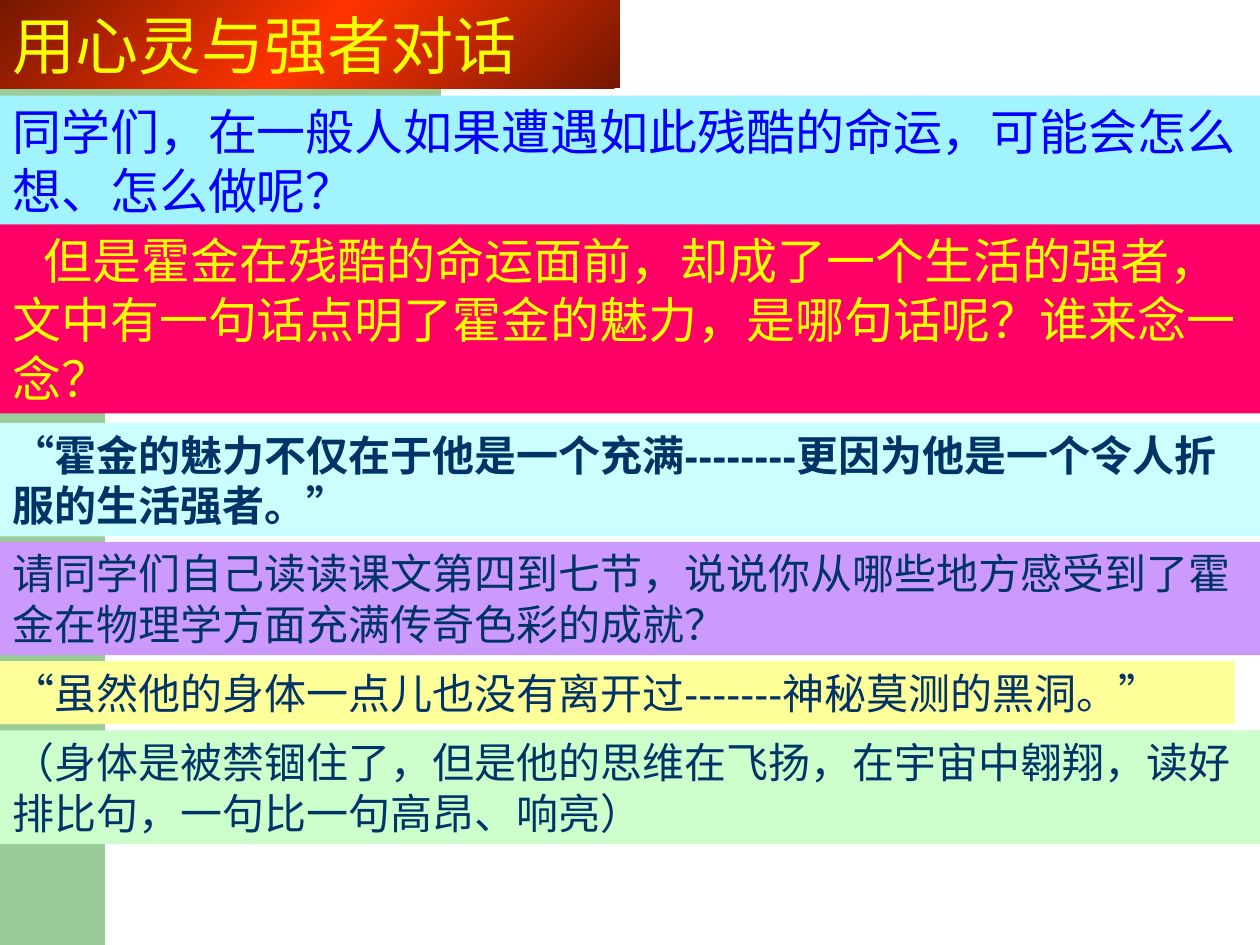
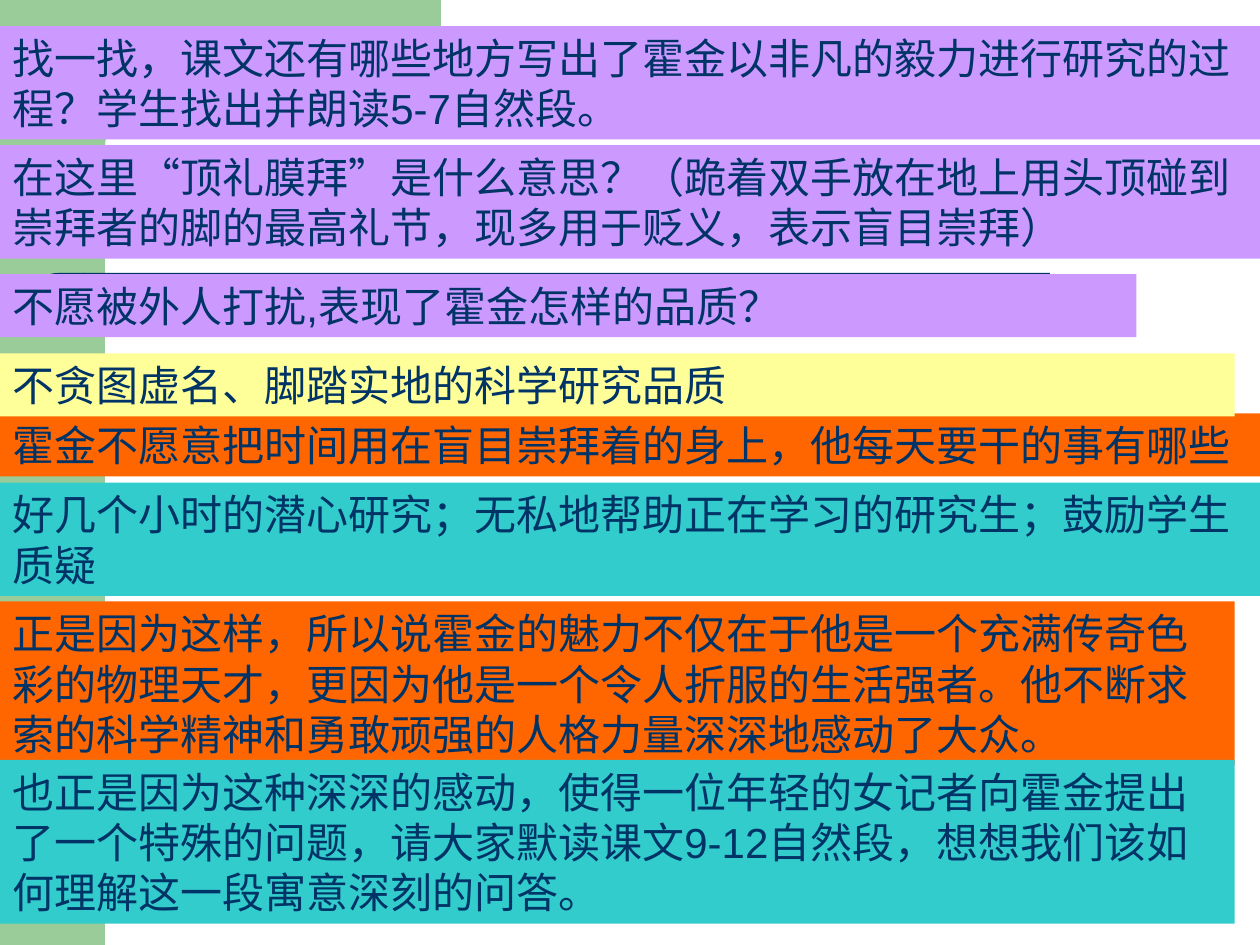
from copy import deepcopy
from lxml import etree
from pptx import Presentation
from pptx.dml.color import RGBColor
from pptx.enum.shapes import MSO_SHAPE
from pptx.enum.text import MSO_ANCHOR, MSO_AUTO_SIZE, PP_ALIGN
from pptx.oxml.ns import qn
from pptx.util import Pt

RECT, ROUND, DELAY = MSO_SHAPE.RECTANGLE, MSO_SHAPE.ROUNDED_RECTANGLE, MSO_SHAPE.FLOWCHART_DELAY
TOP, GROW, LEFT = MSO_ANCHOR.TOP, MSO_AUTO_SIZE.SHAPE_TO_FIT_TEXT, PP_ALIGN.LEFT
HAN = "Noto Sans CJK SC"

# Colours
GREEN, NAVY, BLUE, GOLD = "99CC99", "003366", "0000FF", "FFFF00"
SKY, ROSE, ICE, LILAC = "A1F4FD", "FF0066", "CCFFFF", "CC99FF"
CREAM, MINT, ORANGE, TEAL = "FFFF99", "CCFFCC", "FF6600", "33CCCC"
FIRE = [(0, "751700"), (0.5, "FF3300"), (1, "751700")]

# Text formats
BODY = {"size": Pt(24), "name": "Arial", "bold": False}
BOLD = {**BODY, "bold": True}
LARGE = {**BODY, "size": Pt(28), "name": HAN}
TITLE = {**LARGE, "size": Pt(36)}
FRAME = {"word_wrap": True, "auto_size": GROW, "vertical_anchor": TOP,
         "margin_left": Pt(7.2), "margin_right": Pt(7.2),
         "margin_top": Pt(3.6), "margin_bottom": Pt(3.6)}

# Green corner with a rounded inner edge
CORNER = [(252, 0), (252, 60), (83.5, 60.5), (80, 60), (74, 61), (70.5, 63.2),
          (67, 66.2), (64, 70), (62, 75), (60.5, 79), (60, 83.5), (60, 92),
          (36, 92), (36, 0)]

# Bands: top, width, lines, fill, text colour, format, first-line indent, text
PAGES = [
    [
        (0, 354.24, 1, FIRE, GOLD, TITLE, 0, "用心灵与强者对话"),
        (54.7, 720, 2, SKY, BLUE, LARGE, 0,
         "同学们，在一般人如果遭遇如此残酷的命运，可能会怎么想、怎么做呢？"),
        (128.2, 720, 3, ROSE, GOLD, LARGE, 18,
         "但是霍金在残酷的命运面前，却成了一个生活的强者，"
         "文中有一句话点明了霍金的魅力，是哪句话呢？谁来念一念？"),
        (241.7, 720, 2, ICE, NAVY, BOLD, 0,
         "“霍金的魅力不仅在于他是一个充满--------更因为他是一个令人折服的生活强者。”"),
        (309.6, 720, 2, LILAC, NAVY, BODY, 0,
         "请同学们自己读读课文第四到七节，说说你从哪些地方感受到了"
         "霍金在物理学方面充满传奇色彩的成就？"),
        (377.8, 705.6, 1, CREAM, NAVY, BODY, 0,
         "“虽然他的身体一点儿也没有离开过-------神秘莫测的黑洞。”"),
        (417.4, 720, 2, MINT, NAVY, BODY, 0,
         "（身体是被禁锢住了，但是他的思维在飞扬，在宇宙中翱翔，"
         "读好排比句，一句比一句高昂、响亮）"),
    ],
    [
        (14.9, 720, 2, LILAC, NAVY, BODY, 0,
         "找一找，课文还有哪些地方写出了霍金以非凡的毅力进行研究的过程？"
         "学生找出并朗读5-7自然段。"),
        (83, 720, 2, LILAC, NAVY, BODY, 0,
         "在这里“顶礼膜拜”是什么意思？（跪着双手放在地上用头顶碰到"
         "崇拜者的脚的最高礼节，现多用于贬义，表示盲目崇拜）"),
        (236.2, 720, 1, ORANGE, NAVY, BODY, 0,
         "霍金不愿意把时间用在盲目崇拜着的身上，他每天要干的事有哪些"),
        (275.8, 720, 2, TEAL, NAVY, BODY, 0,
         "好几个小时的潜心研究；无私地帮助正在学习的研究生；鼓励学生质疑"),
        (343.7, 705.6, 3, ORANGE, NAVY, BODY, 0,
         "正是因为这样，所以说霍金的魅力不仅在于他是一个充满传奇色彩的"
         "物理天才，更因为他是一个令人折服的生活强者。他不断求索的"
         "科学精神和勇敢顽强的人格力量深深地感动了大众。"),
        (434.2, 705.6, 3, TEAL, NAVY, BODY, 0,
         "也正是因为这种深深的感动，使得一位年轻的女记者向霍金提出了"
         "一个特殊的问题，请大家默读课文9-12自然段，想想我们该如何"
         "理解这一段寓意深刻的问答。"),
        (156.7, 649.4, 1, LILAC, NAVY, BODY, 0,
         "不愿被外人打扰,表现了霍金怎样的品质？"),
        (202, 705.6, 1, CREAM, NAVY, BODY, 0,
         "不贪图虚名、脚踏实地的科学研究品质"),
    ],
]


def paint(fill, tone):
    fill.solid()
    fill.fore_color.rgb = RGBColor.from_string(tone)


def block(slide, kind, left, top, width, height, tone):
    box = slide.shapes.add_shape(kind, Pt(left), Pt(top), Pt(width), Pt(height))
    box.shadow.inherit = False
    box.line.fill.background()
    paint(box.fill, tone)
    return box


deck = Presentation()
deck.slide_width, deck.slide_height = Pt(720), Pt(540)

for num, bands in enumerate(PAGES):
    slide = deck.slides.add_slide(deck.slide_layouts[6])

    # Shared green side and corner
    block(slide, RECT, 0, 0, 60, 540, GREEN)
    pen = slide.shapes.build_freeform(Pt(252), 0)
    pen.add_line_segments([(Pt(x), Pt(y)) for x, y in CORNER[1:]])
    edge = pen.convert_to_shape()
    edge.shadow.inherit = False
    edge.line.fill.background()
    paint(edge.fill, GREEN)

    # Navy rule of the second slide, with its round left end
    if num == 1:
        rule = block(slide, ROUND, 48, 156, 552, 25.2, NAVY)
        rule.adjustments[0] = 0
        end = block(slide, DELAY, 18, 156, 30.6, 25.2, NAVY)
        end._element.spPr.find(qn("a:xfrm")).set("flipH", "1")

    # Text bands, each as high as its lines
    for top, width, lines, tone, ink, style, indent, text in bands:
        high = 7.2 + 1.2 * style["size"].pt * lines
        flat = tone if isinstance(tone, str) else tone[0][1]
        band = block(slide, RECT, 0, top, width, high, flat)
        if tone is FIRE:
            band.fill.gradient()
            band.fill.gradient_angle = 135
            stops = band._element.spPr.find(".//" + qn("a:gsLst"))
            stops.insert(1, deepcopy(stops[0]))
            for stop, (spot, hue) in zip(band.fill.gradient_stops, tone):
                stop.position = spot
                stop.color.rgb = RGBColor.from_string(hue)
        frame = band.text_frame
        for key, val in FRAME.items():
            setattr(frame, key, val)
        para = frame.paragraphs[0]
        para.alignment = LEFT
        if indent:
            para._p.get_or_add_pPr().set("indent", str(Pt(indent)))
        run = para.add_run()
        run.text = text
        for key, val in style.items():
            setattr(run.font, key, val)
        paint(run.font.fill, ink)
        etree.SubElement(run._r.rPr, qn("a:ea"), typeface=HAN)

deck.save("out.pptx")
